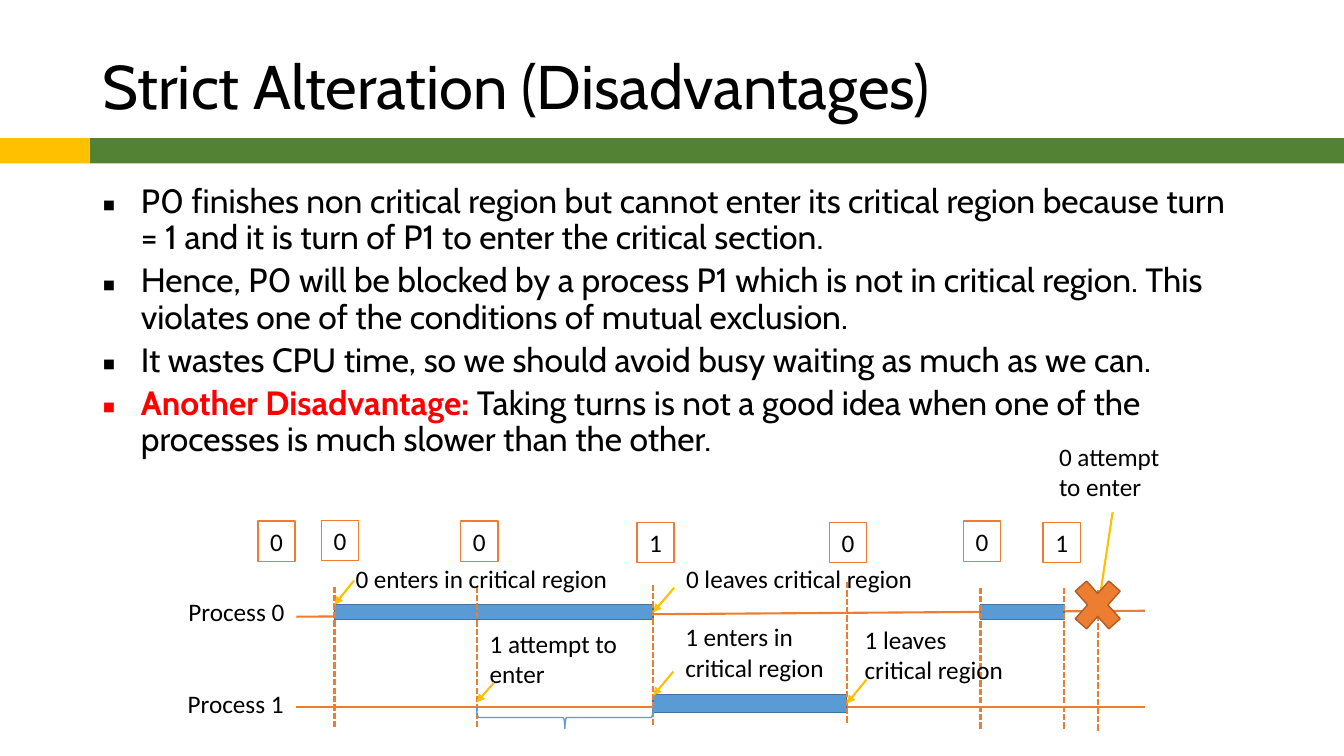
from lxml.etree import SubElement
from pptx import Presentation
from pptx.dml.color import RGBColor
from pptx.enum.dml import MSO_LINE
from pptx.enum.shapes import MSO_CONNECTOR, MSO_SHAPE
from pptx.enum.text import MSO_ANCHOR, PP_ALIGN
from pptx.oxml.ns import qn
from pptx.util import Cm, Pt

# Content; all lengths in cm
TITLE = "Strict Alteration (Disadvantages)"
# (emphasised lead, rest of the point)
POINTS = [
    ("", "P0 finishes non critical region but cannot enter its critical region "
         "because turn = 1 and it is turn of P1 to enter the critical section."),
    ("", "Hence, P0 will be blocked by a process P1 which is not in critical region. "
         "This violates one of the conditions of mutual exclusion."),
    ("", "It wastes CPU time, so we should avoid busy waiting as much as we can."),
    ("Another Disadvantage:", " Taking turns is not a good idea when one of the "
                              "processes is much slower than the other."),
]
# Moments on the time axis
P0_ENTERS, P1_ATTEMPTS, P0_LEAVES, P1_LEAVES = 8.43, 12.01, 16.46, 21.34
P0_RETURNS, P0_ENDS, P0_BLOCKED = 24.71, 26.82, 27.66
AXIS_START, AXIS_END = 7.47, 28.85
AXES = [(15.54, 15.39), (17.81, 17.81)]  # y at start, y at end
MOMENTS = [(P0_ENTERS, 14.78), (P0_LEAVES, 14.73), (P1_LEAVES, 14.66),
           (P1_ATTEMPTS, 14.78), (P0_RETURNS, 14.81), (P0_ENDS, 14.81),
           (P0_BLOCKED, 14.86)]
MOMENT_LENGTH = 3.6
# start, end, top, height of the time spent in the critical region
CRITICAL = [(P0_ENTERS, P0_LEAVES, 15.24, 0.38),
            (P0_RETURNS, P0_ENDS, 15.24, 0.38),
            (P0_LEAVES, P1_LEAVES, 17.5, 0.46)]
# text, left, top, width, height
LABELS = [
    ("Process 0", 4.5, 14.91, 3.07, 1.04),
    ("Process 1", 4.48, 17.22, 3.07, 1.04),
    ("0 enters in critical region", 8.71, 14.07, 7.04, 1.02),
    ("1 attempt to enter", 12.09, 15.7, 4.04, 1.8),
    ("0 leaves critical region", 17.04, 14.07, 6.4, 1.02),
    ("1 enters in critical region", 17.02, 15.54, 4.01, 1.8),
    ("1 leaves critical region", 21.54, 15.6, 4.09, 1.8),
    ("0 attempt to enter", 26.44, 11, 3.3, 1.8),
]
# from, to, index of the bar whose right side it points at
POINTERS = [
    ((8.92, 14.63), (P0_ENTERS, 15.24), None),
    ((12.45, 17.2), (P1_ATTEMPTS, 17.7), None),
    ((16.99, 14.81), (P0_LEAVES, 15.43), 0),
    ((16.97, 16.92), (P0_LEAVES, 17.53), None),
    ((21.84, 17.12), (P1_LEAVES, 17.73), 2),
    ((28.04, 12.9), (P0_BLOCKED, 15.42), None),
]
# value of turn, left, top
TURNS = [("0", 6.5, 13.13), ("0", 8.1, 13.11), ("0", 11.61, 13.13),
         ("1", 16.05, 13.16), ("0", 20.9, 13.16), ("0", 24.28, 13.13),
         ("1", 26.29, 13.16)]
TURN_WIDTH, TURN_HEIGHT = 0.94, 1.02

BLACK, WHITE, RED = "000000", "FFFFFF", "FF0000"
GREEN, GOLD, ORANGE, BLUE = "548235", "FFC000", "ED7D31", "5B9BD5"
DARK_BLUE, DARK_ORANGE = "43739E", "AF5C24"
SLIDE_WIDTH, SLIDE_HEIGHT = 33.87, 19.05

deck = Presentation()
deck.slide_width, deck.slide_height = Cm(SLIDE_WIDTH), Cm(SLIDE_HEIGHT)
slide = deck.slides.add_slide(deck.slide_layouts[6])


def color(hex_value):
    return RGBColor.from_string(hex_value)


def style(run, size, face, ink=BLACK, bold=False):
    run.font.size, run.font.name, run.font.bold = Pt(size), face, bold
    run.font.color.rgb = color(ink)


def add_box(kind, left, top, width, height, fill=None, line=None):
    box = slide.shapes.add_shape(kind, Cm(left), Cm(top), Cm(width), Cm(height))
    box.shadow.inherit = False
    if fill:
        box.fill.solid()
        box.fill.fore_color.rgb = color(fill)
    else:
        box.fill.background()
    if line:
        box.line.color.rgb = color(line)
        box.line.width = Pt(1)
    else:
        box.line.fill.background()
    return box


def add_text(left, top, width, height):
    frame = slide.shapes.add_textbox(Cm(left), Cm(top), Cm(width), Cm(height)).text_frame
    frame.word_wrap = True
    return frame


def add_line(start, end, ink):
    line = slide.shapes.add_connector(
        MSO_CONNECTOR.STRAIGHT, *(Cm(value) for value in (*start, *end)))
    line.line.color.rgb = color(ink)
    line.line.width = Pt(1.5)
    SubElement(line.element.spPr, qn("a:effectLst"))
    return line


# Band under the title
BAND_TOP, BAND_HEIGHT, BAND_SPLIT = 3.48, 0.64, 2.26
add_box(MSO_SHAPE.RECTANGLE, BAND_SPLIT, BAND_TOP, SLIDE_WIDTH - BAND_SPLIT, BAND_HEIGHT, GREEN)
add_box(MSO_SHAPE.RECTANGLE, 0, BAND_TOP, BAND_SPLIT, BAND_HEIGHT, GOLD)

# Title
title = add_text(2.33, 1.02, 29.21, 2.46)
title.vertical_anchor = MSO_ANCHOR.MIDDLE
title.text = TITLE
title.paragraphs[0].line_spacing = 0.9
style(title.paragraphs[0].runs[0], 44, "Cabin")

# Bullet points
body = add_text(2.33, 4.52, 29.21, 12.09)
for index, (lead, rest) in enumerate(POINTS):
    point = body.paragraphs[0] if index == 0 else body.add_paragraph()
    properties = point._p.get_or_add_pPr()
    properties.set("marL", str(Cm(0.97)))
    properties.set("indent", str(-Cm(0.97)))
    SubElement(properties, qn("a:buFont"), typeface="Noto Sans Symbols")
    SubElement(properties, qn("a:buChar"), char="▪")
    point.line_spacing = 0.9
    point.space_before = Pt(5 if index else 0)
    if lead:
        emphasis = point.add_run()
        emphasis.text = lead
        style(emphasis, 24, "Cabin", RED, True)
    statement = point.add_run()
    statement.text = rest
    style(statement, 24, "Cabin")

# Time axes, critical regions and moments
for start_y, end_y in AXES:
    add_line((AXIS_START, start_y), (AXIS_END, end_y), ORANGE)
bars = [add_box(MSO_SHAPE.RECTANGLE, start, top, end - start, height, BLUE, DARK_BLUE)
        for start, end, top, height in CRITICAL]
for x, top in MOMENTS:
    moment = add_line((x, top), (x, top + MOMENT_LENGTH), ORANGE)
    moment.line.dash_style = MSO_LINE.SQUARE_DOT

# Labels and their arrows
for text, *place in LABELS:
    label = add_text(*place)
    label.text = text
    style(label.paragraphs[0].runs[0], 18, "Calibri")
for start, end, target in POINTERS:
    pointer = add_line(start, end, GOLD)
    SubElement(pointer.line._get_or_add_ln(), qn("a:tailEnd"), type="triangle")
    if target is not None:
        pointer.end_connect(bars[target], 3)

# Waiting time of process 1: a brace turned to lie along the axis
wait, depth, wait_middle = P0_LEAVES - P1_ATTEMPTS, 0.56, 18.08
brace = add_box(MSO_SHAPE.RIGHT_BRACE, (P1_ATTEMPTS + P0_LEAVES - depth) / 2,
                wait_middle - wait / 2, depth, wait, line=BLUE)
brace.rotation = 90

# Values of turn
for value, left, top in TURNS:
    turn = add_box(MSO_SHAPE.RECTANGLE, left, top, TURN_WIDTH, TURN_HEIGHT, WHITE, ORANGE)
    frame = turn.text_frame
    frame.margin_left = frame.margin_right = 0
    frame.vertical_anchor = MSO_ANCHOR.MIDDLE
    frame.text = value
    frame.paragraphs[0].alignment = PP_ALIGN.CENTER
    style(frame.paragraphs[0].runs[0], 18, "Calibri")

# Blocked attempt
add_box(MSO_SHAPE.MATH_MULTIPLY, 26.85, 14.33, 1.63, 1.83, ORANGE, DARK_ORANGE)

deck.save("out.pptx")
